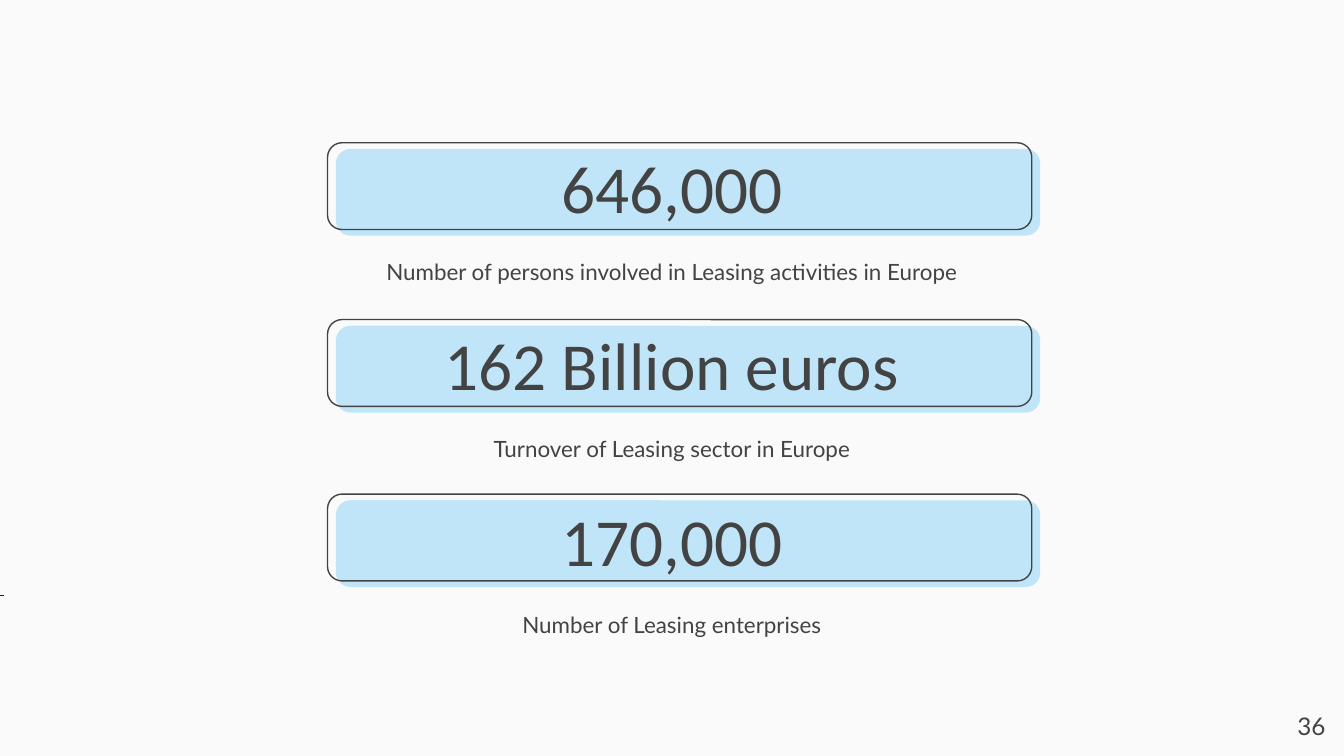
import pptx
import pptx.util
import pptx.dml.color
import pptx.enum.shapes
import pptx.enum.text
import pptx.oxml.ns
import lxml.etree

Pt = pptx.util.Pt
Shape = pptx.enum.shapes.MSO_SHAPE
Align = pptx.enum.text.PP_ALIGN
Anchor = pptx.enum.text.MSO_ANCHOR
qn = pptx.oxml.ns.qn

HUES = {"back": "FAFAFA", "pill": "C1E5F8", "ink": "434343", "tick": "1F1F1F"}


def hue(name):
    return pptx.dml.color.RGBColor.from_string(HUES[name])


def write(frame, text, size=12, font="Lato", align=Align.CENTER,
          anchor=Anchor.TOP, lead=1.0, after=0):
    frame.word_wrap = True
    frame.auto_size = pptx.enum.text.MSO_AUTO_SIZE.NONE
    frame.vertical_anchor = anchor
    frame.margin_left = frame.margin_right = Pt(7.2)
    frame.margin_top = frame.margin_bottom = Pt(7.2)
    frame.text = text
    para = frame.paragraphs[0]
    # Clear the bullet and indent of the template
    props = para._p.get_or_add_pPr()
    props.set("marL", "0")
    props.set("indent", "0")
    lxml.etree.SubElement(props, qn("a:buNone"))
    para.alignment = align
    para.line_spacing = lead
    para.space_before = Pt(0)
    para.space_after = Pt(after)
    run = para.runs[0].font
    run.name, run.size, run.bold = font, Pt(size), False
    run.color.rgb = hue("ink")


class Page:
    def __init__(self, deck):
        # The comparison layout has a title and four bodies
        self.slide = deck.slides.add_slide(deck.slide_layouts[4])
        self.shapes = self.slide.shapes
        fill = self.slide.background.fill
        fill.solid()
        fill.fore_color.rgb = hue("back")
        self.title = self.shapes.title
        self.bodies = [p for p in self.slide.placeholders if p != self.title]

    def place(self, holder, box, text, **style):
        holder.left, holder.top, holder.width, holder.height = map(Pt, box)
        self.shapes.element.append(holder.element)  # bring to front
        write(holder.text_frame, text, **style)

    def label(self, box, text, **style):
        write(self.shapes.add_textbox(*map(Pt, box)).text_frame, text, **style)

    def plate(self, left, top, fill=None, line=None):
        item = self.shapes.add_shape(Shape.ROUNDED_RECTANGLE, Pt(left), Pt(top),
                                     Pt(377.3), Pt(46.5))
        item.adjustments[0] = 0.167
        item.shadow.inherit = False
        if fill:
            item.fill.solid()
            item.fill.fore_color.rgb = hue(fill)
        else:
            item.fill.background()
        if line:
            item.line.color.rgb = hue(line)
            item.line.width = Pt(0.75)
        else:
            item.line.fill.background()

    def pill(self, top):
        self.plate(180, top + 3.3, fill="pill")
        self.plate(175.5, top, line="ink")

    def tick(self, left, top, width):
        line = self.shapes.add_connector(
            pptx.enum.shapes.MSO_CONNECTOR.STRAIGHT,
            Pt(left), Pt(top), Pt(left + width), Pt(top))
        line.line.color.rgb = hue("tick")
        line.line.width = Pt(0.3)
        lxml.etree.SubElement(line.element.spPr, qn("a:effectLst"))

    def trim(self):
        for holder in list(self.slide.placeholders):
            if not holder.text_frame.text:
                self.shapes.element.remove(holder.element)


def main():
    deck = pptx.Presentation()
    deck.slide_width, deck.slide_height = Pt(720), Pt(405)
    page = Page(deck)

    # Figures: pill top, number, caption
    facts = [
        (76.5, "646,000",
         "Number of persons involved in Leasing activities in Europe"),
        (171.25, "162 Billion euros", "Turnover of Leasing sector in Europe"),
        (264.75, "170,000", "Number of Leasing enterprises"),
    ]
    step = 94.6
    big = dict(size=36, font="Calibri", anchor=Anchor.BOTTOM)
    for i, (top, number, note) in enumerate(facts):
        page.pill(top)
        box = (221, 74.2 + i * step, 278, 54.7)
        if i == 0:
            page.place(page.title, box, number, **big)
        else:
            page.label(box, number, **big)
        page.place(page.bodies[i], (139.7, 128.9 + i * step, 440.6, 31),
                   note, lead=1.15, after=16)

    # Edge tick and page number
    page.tick(0, 319, 2.2)
    page.label((673.9, 373.7, 43.2, 31), "36", size=13, align=Align.RIGHT)

    page.trim()
    deck.save("out.pptx")


if __name__ == "__main__":
    main()
